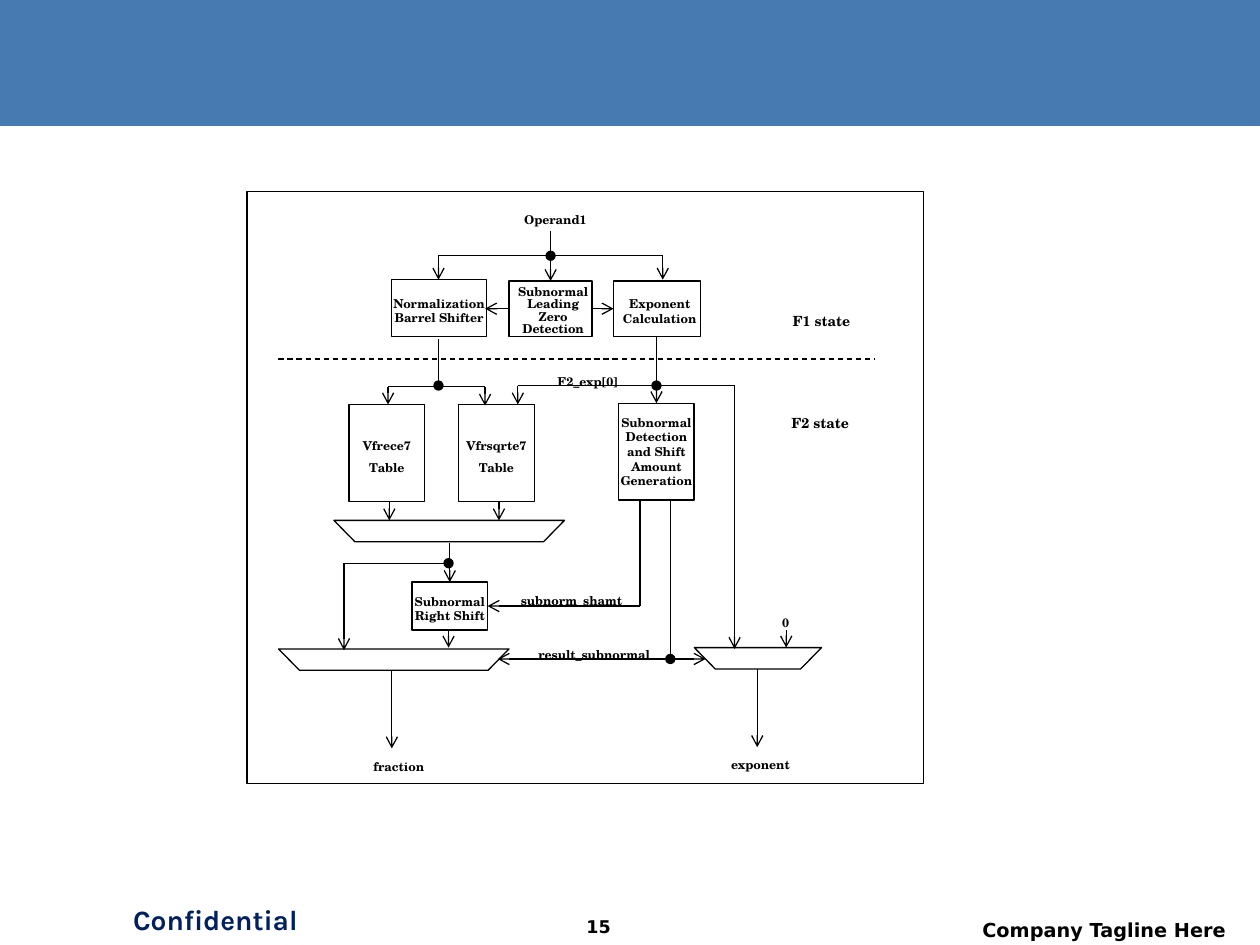
from lxml import etree
from pptx import Presentation
from pptx.dml.color import RGBColor
from pptx.enum.dml import MSO_LINE_DASH_STYLE as DASH
from pptx.enum.shapes import MSO_CONNECTOR, MSO_SHAPE
from pptx.enum.text import MSO_ANCHOR, PP_ALIGN
from pptx.oxml.ns import qn
from pptx.util import Inches, Pt

COLORS = {"band": "477AB1", "navy": "002060", "black": "000000", "white": "FFFFFF"}
DIAGRAM_FONT, FOOTER_FONT, STAMP_FONT = "TeX Gyre Schola", "DejaVu Sans", "Karla"
LINE_WIDTH = Pt(0.75)


def color(name):
    return RGBColor.from_string(COLORS[name])


def write(shape, text, size, font=DIAGRAM_FONT, ink="black", align=PP_ALIGN.CENTER,
          spacing=None, insets=None):
    """Fill a shape with one bold paragraph; insets are (left, top)."""
    frame = shape.text_frame
    frame.word_wrap = True
    if insets is not None:
        frame.margin_left, frame.margin_top = map(Inches, insets)
        frame.margin_right = frame.margin_bottom = 0
        frame.vertical_anchor = MSO_ANCHOR.MIDDLE
    paragraph = frame.paragraphs[0]
    paragraph.text = text
    paragraph.alignment = align
    if spacing:
        paragraph.line_spacing = spacing
    paragraph.font.name = font
    paragraph.font.size = Pt(size)
    paragraph.font.bold = True
    paragraph.font.color.rgb = color(ink)


def add_box(slide, kind, box, fill=None, line="black"):
    shape = slide.shapes.add_shape(kind, *map(Inches, box))
    shape.shadow.inherit = False
    if fill:
        shape.fill.solid()
        shape.fill.fore_color.rgb = color(fill)
    else:
        shape.fill.background()
    if line:
        shape.line.color.rgb = color(line)
        shape.line.width = LINE_WIDTH
    else:
        shape.line.fill.background()
    return shape


def add_wire(slide, start, end, tail=None, dash=None):
    """Draw a line; tail is the mark at its end."""
    wire = slide.shapes.add_connector(MSO_CONNECTOR.STRAIGHT,
                                      *map(Inches, (*start, *end)))
    wire.line.color.rgb = color("black")
    wire.line.width = LINE_WIDTH
    if dash:
        wire.line.dash_style = dash
    properties = wire.element.spPr
    if tail:
        etree.SubElement(properties.find(qn("a:ln")), qn("a:tailEnd"), type=tail)
    etree.SubElement(properties, qn("a:effectLst"))


def add_header(slide, box):
    add_box(slide, MSO_SHAPE.RECTANGLE, box, fill="band", line=None)


def add_footer(slide, box):
    left, top, _, _ = box
    parts = [
        ((0.89, 0, 1.64, 0.42), "Confidential", 16, STAMP_FONT, "navy", PP_ALIGN.CENTER),
        ((4.29, 0.11, 0.92, 0.28), "15", 10, FOOTER_FONT, "black", PP_ALIGN.CENTER),
        ((7.46, 0.13, 2.37, 0.26), "Company Tagline Here", 11, FOOTER_FONT, "black",
         PP_ALIGN.RIGHT),
    ]
    for (x, y, width, height), text, size, font, ink, align in parts:
        area = map(Inches, (left + x, top + y, width, height))
        write(slide.shapes.add_textbox(*area), text, size, font, ink, align)


def add_diagram(slide, box):
    left, top, _, _ = box

    def place(x, y):
        return left + x, top + y

    add_box(slide, MSO_SHAPE.RECTANGLE, box, fill="white")

    # Border between the two pipeline states
    add_wire(slide, place(0.25, 1.33), place(4.98, 1.33), dash=DASH.DASH)

    # Processing blocks: position, size, text, line spacing, insets
    blocks = [
        (1.15, 0.7, 0.75, 0.45, "Normalization Barrel Shifter", None, (0, 0.04)),
        (2.08, 0.71, 0.66, 0.44, "Subnormal Leading Zero Detection", Pt(7), (0.04, 0.04)),
        (2.91, 0.71, 0.69, 0.44, "Exponent Calculation", None, (0.04, 0.04)),
        (0.81, 1.69, 0.6, 0.77, "Vfrece7 Table", 1.5, (0, 0)),
        (1.68, 1.69, 0.6, 0.77, "Vfrsqrte7 Table", 1.5, (0, 0)),
        (2.95, 1.68, 0.6, 0.77, "Subnormal Detection and Shift Amount Generation",
         None, (0, 0)),
        (1.31, 3.1, 0.6, 0.38, "Subnormal Right Shift", None, (0, 0.04)),
    ]
    for x, y, width, height, text, spacing, insets in blocks:
        block = add_box(slide, MSO_SHAPE.RECTANGLE, (*place(x, y), width, height))
        write(block, text, 7, spacing=spacing, insets=insets)

    # Multiplexers
    for x, y, width in [(0.69, 2.61, 1.83), (0.25, 3.63, 1.83), (3.55, 3.62, 1.01)]:
        mux = add_box(slide, MSO_SHAPE.TRAPEZOID, (*place(x, y), width, 0.17))
        mux.adjustments[0] = 0.98
        mux.rotation = 180

    # Wires by the mark at their end
    wires = {
        "arrow": [
            # Operand fan-out and first row
            (2.41, 0.31, 2.41, 0.71), (1.52, 0.51, 1.52, 0.7), (3.3, 0.51, 3.3, 0.7),
            (2.74, 0.93, 2.91, 0.93), (2.08, 0.93, 1.89, 0.93),
            # Into and out of the second row
            (1.12, 1.55, 1.12, 1.69), (1.89, 1.55, 1.89, 1.7), (2.15, 1.54, 2.15, 1.69),
            (3.25, 1.15, 3.25, 1.68), (1.13, 2.46, 1.13, 2.61), (2, 2.46, 2, 2.61),
            # Shift stage and final multiplexers
            (1.61, 2.79, 1.61, 3.1), (0.77, 2.95, 0.77, 3.64), (1.6, 3.48, 1.6, 3.62),
            (3.12, 3.29, 1.91, 3.29), (3.36, 3.71, 1.99, 3.71), (3.36, 3.71, 3.64, 3.71),
            (3.87, 1.54, 3.87, 3.63), (4.28, 3.48, 4.28, 3.62),
            # Results
            (1.15, 3.8, 1.15, 4.42), (4.05, 3.79, 4.05, 4.41),
        ],
        "oval": [
            (1.52, 0.51, 2.41, 0.51), (1.52, 1.17, 1.52, 1.54), (3.87, 1.54, 3.25, 1.54),
            (0.77, 2.95, 1.6, 2.95), (3.36, 2.45, 3.36, 3.71),
        ],
        None: [
            (2.41, 0.51, 3.3, 0.51), (1.12, 1.55, 1.89, 1.55), (2.15, 1.54, 3.25, 1.54),
            (3.12, 2.45, 3.12, 3.29),
        ],
    }
    for mark, lines in wires.items():
        for x1, y1, x2, y2 in lines:
            add_wire(slide, place(x1, y1), place(x2, y2), tail=mark)

    # Signal and state labels
    labels = [
        (2.16, 0.1, 0.58, 0.15, "Operand1", 7, PP_ALIGN.LEFT),
        (4.29, 0.85, 0.54, 0.25, "F1 state", 8, PP_ALIGN.LEFT),
        (4.28, 1.69, 0.57, 0.18, "F2 state", 8, PP_ALIGN.LEFT),
        (2.13, 1.39, 1.11, 0.14, "F2_exp[0]", 7, PP_ALIGN.CENTER),
        (2, 3.13, 1.11, 0.14, "subnorm_shamt", 7, PP_ALIGN.CENTER),
        (2.18, 3.56, 1.11, 0.14, "result_subnormal", 7, PP_ALIGN.CENTER),
        (3.95, 3.3, 0.61, 0.14, "0", 7, PP_ALIGN.CENTER),
        (0.63, 4.42, 1.11, 0.19, "fraction", 7, PP_ALIGN.CENTER),
        (3.5, 4.4, 1.11, 0.19, "exponent", 7, PP_ALIGN.CENTER),
    ]
    for x, y, width, height, text, size, align in labels:
        label = slide.shapes.add_textbox(*map(Inches, (*place(x, y), width, height)))
        write(label, text, size, align=align, spacing=1.5, insets=(0.04, 0.04))


def main():
    presentation = Presentation()
    presentation.slide_width, presentation.slide_height = Inches(10), Inches(7.5)
    slide = presentation.slides.add_slide(presentation.slide_layouts[6])
    add_header(slide, (0, 0, 10, 1))
    add_footer(slide, (0, 7.11, 10, 0.39))
    add_diagram(slide, (1.96, 1.52, 5.37, 4.7))
    presentation.save("out.pptx")


if __name__ == "__main__":
    main()
